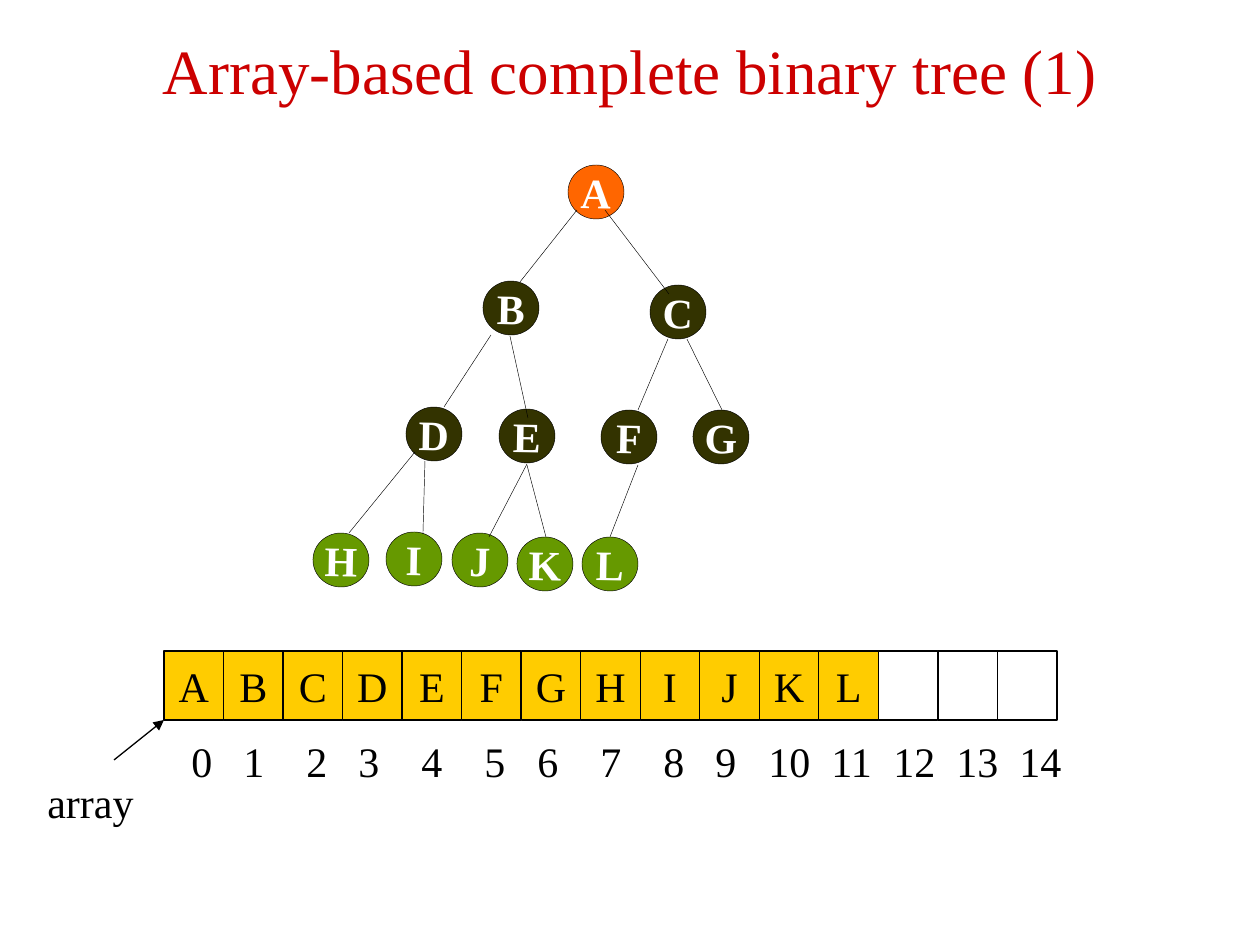
from lxml import etree
from pptx import Presentation
from pptx.dml.color import RGBColor
from pptx.enum.shapes import MSO_CONNECTOR, MSO_SHAPE
from pptx.enum.text import MSO_ANCHOR, PP_ALIGN
from pptx.oxml.ns import qn
from pptx.util import Pt

OVAL, RECT = MSO_SHAPE.OVAL, MSO_SHAPE.RECTANGLE
LINE = MSO_CONNECTOR.STRAIGHT
MIDDLE, TOP = MSO_ANCHOR.MIDDLE, MSO_ANCHOR.TOP
LEFT, CENTER = PP_ALIGN.LEFT, PP_ALIGN.CENTER

BLACK = RGBColor(0x00, 0x00, 0x00)
WHITE = RGBColor(0xFF, 0xFF, 0xFF)
RED = RGBColor(0xCC, 0x00, 0x00)
ORANGE = RGBColor(0xFF, 0x66, 0x00)
OLIVE = RGBColor(0x33, 0x33, 0x00)
GREEN = RGBColor(0x66, 0x99, 0x00)
GOLD = RGBColor(0xFF, 0xCC, 0x00)

PX = 914400 // 126
FONT = "Times New Roman"

# Content
TITLE = "Array-based complete binary tree (1)"
LABEL = "array"
ITEMS = "ABCDEFGHIJKL"
SLOTS = 15

# Tree levels: fill, then the left and top of each node
LEVELS = [
    (ORANGE, [(568, 165)]),
    (OLIVE, [(483, 281), (650, 285)]),
    (OLIVE, [(406, 407), (499, 409), (601, 410), (693, 410)]),
    (GREEN, [(313, 533), (386, 532), (452, 533), (517, 537), (582, 537)]),
]
NODE_W, NODE_H = 56, 54

# Edges from parent to child: x1, y1, x2, y2
EDGES = [
    (577, 210, 520, 282), (605, 210, 669, 294),
    (491, 335, 444, 407), (510, 336, 528, 418),
    (668, 339, 638, 410), (687, 339, 722, 410),
    (415, 452, 349, 533), (425, 461, 423, 534),
    (527, 464, 489, 537), (527, 465, 546, 537),
    (638, 465, 610, 537),
]

# Array row, and the tab stops of the indices below it
ROW_X, ROW_Y, ROW_W, ROW_H = 164, 651, 893, 69
STOPS = [52, 115, 167, 230, 293, 346, 409, 472, 524, 577, 640, 702, 765, 828]


def px(*nums):
    return [round(n * PX) for n in nums]


def write(shape, text, size=24, color=BLACK, bold=False, align=CENTER,
          anchor=MIDDLE, wrap=False):
    frame = shape.text_frame
    frame.word_wrap = wrap
    frame.vertical_anchor = anchor
    para = frame.paragraphs[0]
    para.alignment = align
    run = para.add_run()
    run.text = text
    font = run.font
    font.name, font.size, font.bold = FONT, Pt(size), bold
    font.color.rgb = color
    return para


def add_shape(shapes, kind, box, fill, width):
    shape = shapes.add_shape(kind, *px(*box))
    shape.shadow.inherit = False
    if fill is None:
        shape.fill.background()
    else:
        shape.fill.solid()
        shape.fill.fore_color.rgb = fill
    shape.line.color.rgb = BLACK
    shape.line.width = Pt(width)
    return shape


def add_line(shapes, ends, width):
    line = shapes.add_connector(LINE, *px(*ends))
    line.line.color.rgb = BLACK
    line.line.width = Pt(width)
    etree.SubElement(line._element.spPr, qn("a:effectLst"))
    return line


prs = Presentation()
prs.slide_width, prs.slide_height = px(1260, 945)
slide = prs.slides.add_slide(prs.slide_layouts[6])

# Title
title = slide.shapes.add_textbox(*px(63, 6, 1134, 126))
write(title, TITLE, size=36, color=RED, wrap=True)

# Tree nodes, lettered level by level
tree = slide.shapes.add_group_shape().shapes
spots = [(fill, spot) for fill, level in LEVELS for spot in level]
for item, (fill, (x, y)) in zip(ITEMS, spots):
    node = add_shape(tree, OVAL, (x, y, NODE_W, NODE_H), fill, 0.25)
    node.rotation = 1
    write(node, item, color=WHITE, bold=True)

# Tree edges
for ends in EDGES:
    add_line(tree, ends, 0.25)

# Pointer to the array
row = slide.shapes.add_group_shape().shapes
arrow = add_line(row, (114, 760, 164, 720), 0.75)
etree.SubElement(arrow.line._get_or_add_ln(), qn("a:tailEnd"), type="triangle")
label = row.add_textbox(*px(35, 770, 111, 63))
write(label, LABEL, align=LEFT, anchor=TOP)

# Array slots
pitch = ROW_W / SLOTS
for i in range(SLOTS):
    full = i < len(ITEMS)
    box = (ROW_X + i * pitch, ROW_Y, pitch, ROW_H)
    slot = add_shape(row, RECT, box, GOLD if full else None, 0.75)
    if full:
        write(slot, ITEMS[i])

# Array indices, in a box with room to spare after the last tab stop
index = row.add_textbox(*px(179, 729, 930, 63))
para = write(index, "\t".join(str(i) for i in range(SLOTS)),
             align=LEFT, anchor=TOP, wrap=True)
tabs = etree.SubElement(para._p.get_or_add_pPr(), qn("a:tabLst"))
for stop in STOPS:
    etree.SubElement(tabs, qn("a:tab"), pos=str(stop * PX), algn="l")

prs.save("out.pptx")
